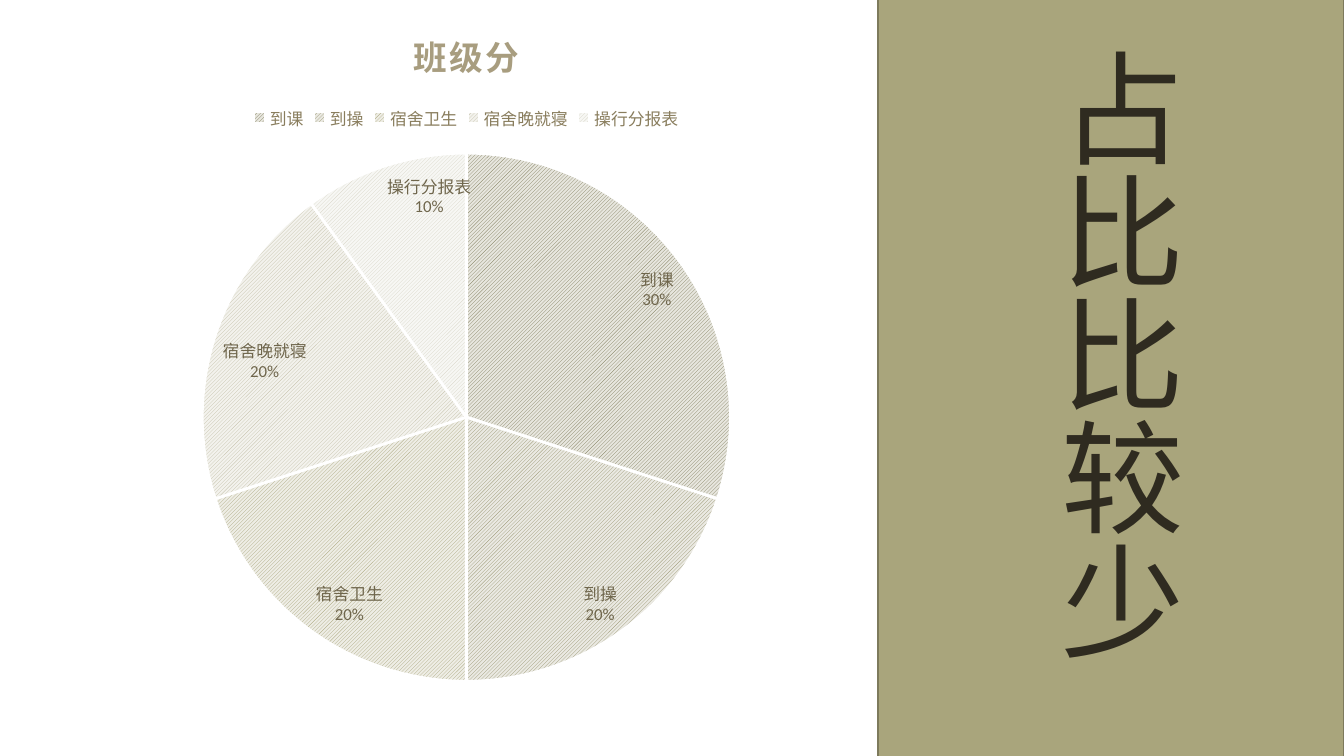
"""Build a slide with a class score pie chart beside a vertical heading."""
from dataclasses import dataclass

from lxml import etree
from pptx import Presentation
from pptx import util as u
from pptx.chart import data
from pptx.dml import color as c
from pptx.enum import chart as ch, dml, shapes, text
from pptx.oxml import ns


@dataclass(frozen=True)
class Theme:
    font: str = "Calibri"
    heading_font: str = "Noto Sans CJK JP"
    panel: str = "A9A57C"
    panel_line: str = "7D7A5C"
    ink: str = "2F2B20"
    title: str = "A89D7F"
    legend: str = "897D5D"
    label: str = "6F664C"
    white: str = "FFFFFF"
    heading_size: int = 66
    title_size: int = 18
    small_size: int = 9


def rgb(value):
    return c.RGBColor.from_string(value)


def style_font(font, name, size, value, bold=False):
    font.name, font.size, font.bold = name, u.Pt(size), bold
    font.color.rgb = rgb(value)


theme = Theme()
scores = [
    ("到课", 30, "817E5E", "E7E6DE"),
    ("到操", 20, "97936E", "EAE9E2"),
    ("宿舍卫生", 20, "A9A57C", "EEEDE5"),
    ("宿舍晚就寝", 20, "C2BFA7", "F3F2ED"),
    ("操行分报表", 10, "D7D5C7", "F7F7F4"),
]

presentation = Presentation()
presentation.slide_width, presentation.slide_height = u.Cm(25.4), u.Cm(14.29)
slide = presentation.slides.add_slide(presentation.slide_layouts[6])

chart_data = data.CategoryChartData()
chart_data.categories = [score[0] for score in scores]
chart_data.add_series("班级分", [score[1] for score in scores])
chart = slide.shapes.add_chart(
    ch.XL_CHART_TYPE.PIE, 0, 0, u.Cm(17.63), u.Cm(13.23), chart_data
).chart
style_font(chart.font, theme.font, 10, theme.ink)

chart.has_title = True
title = chart.chart_title.text_frame
title.text = "班级分"
title_run = title.paragraphs[0].runs[0]
style_font(title_run.font, theme.font, theme.title_size, theme.title, True)
title_run._r.get_or_add_rPr().set("spc", "150")

chart.has_legend = True
chart.legend.position = ch.XL_LEGEND_POSITION.TOP
chart.legend.include_in_layout = False
style_font(chart.legend.font, theme.font, theme.small_size, theme.legend)

plot = chart.plots[0]
plot.vary_by_categories = True
series = plot.series[0]
for index, (_, _, foreground, background) in enumerate(scores):
    slice_format = series.points[index].format
    slice_format.fill.patterned()
    slice_format.fill.pattern = dml.MSO_PATTERN.LIGHT_UPWARD_DIAGONAL
    slice_format.fill.fore_color.rgb = rgb(foreground)
    slice_format.fill.back_color.rgb = rgb(background)
    slice_format.line.color.rgb = rgb(theme.white)
    slice_format.line.width = u.Pt(1.5)

labels = series.data_labels
labels.show_category_name = labels.show_percentage = True
labels.show_value = False
labels.number_format, labels.number_format_is_linked = "0%", False
labels.position = ch.XL_LABEL_POSITION.INSIDE_END
style_font(labels.font, theme.font, theme.small_size, theme.label)

panel = slide.shapes.add_shape(
    shapes.MSO_SHAPE.RECTANGLE, u.Cm(16.59), u.Cm(-0.84), u.Cm(8.81), u.Cm(15.95)
)
panel.shadow.inherit = False
panel.fill.solid()
panel.fill.fore_color.rgb = rgb(theme.panel)
panel.line.color.rgb = rgb(theme.panel_line)
panel.line.width = u.Pt(1)

heading = slide.shapes.add_textbox(u.Cm(19.33), u.Cm(0.64), u.Cm(3.33), u.Cm(12.6))
frame = heading.text_frame
frame.text = "占比比较少"
frame.word_wrap = True
frame.auto_size = text.MSO_AUTO_SIZE.SHAPE_TO_FIT_TEXT
frame._txBody.bodyPr.set("vert", "eaVert")
heading_run = frame.paragraphs[0].runs[0]
style_font(heading_run.font, theme.heading_font, theme.heading_size, theme.ink)
east_asian = etree.SubElement(heading_run._r.get_or_add_rPr(), ns.qn("a:ea"))
east_asian.set("typeface", theme.heading_font)

presentation.save("out.pptx")
